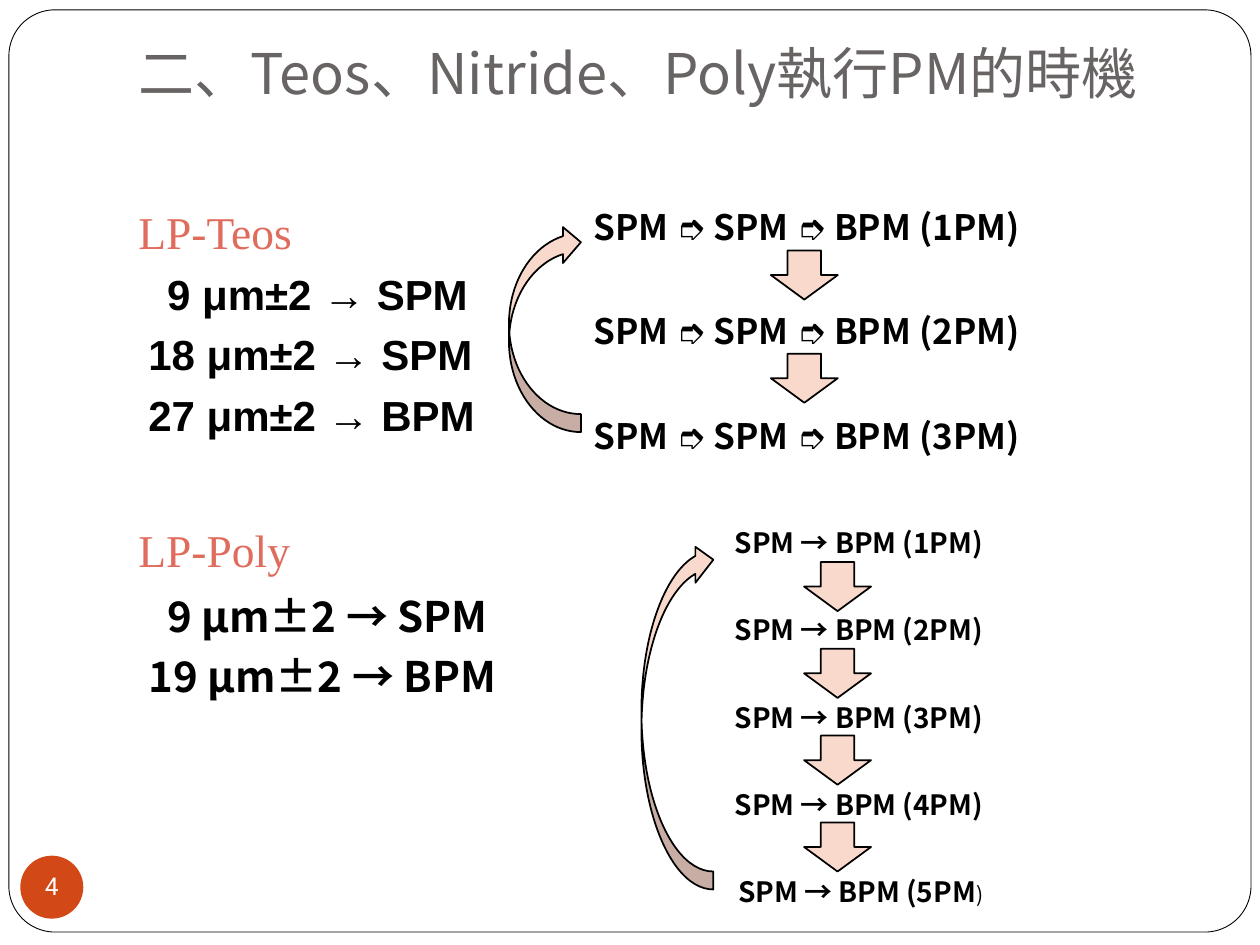
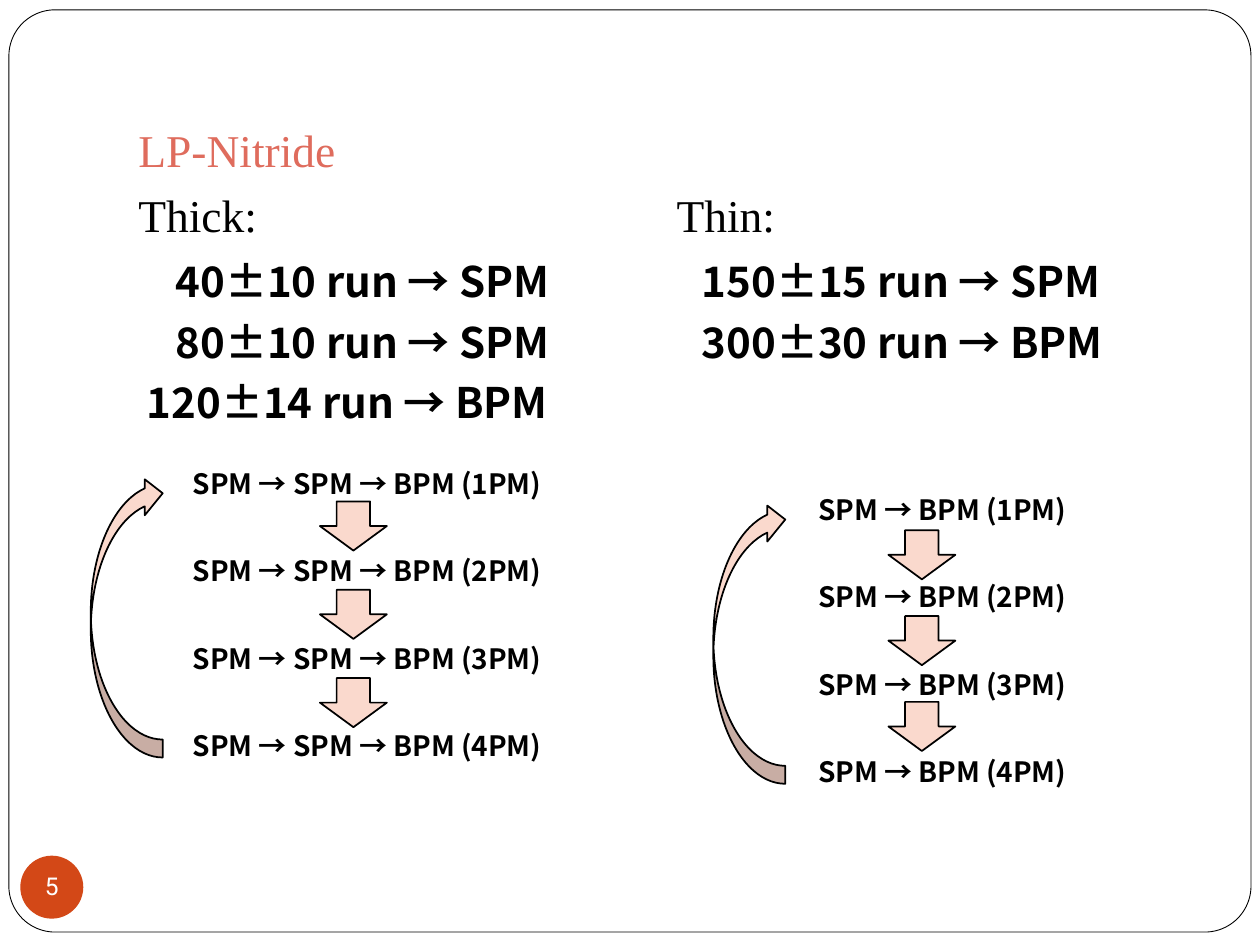
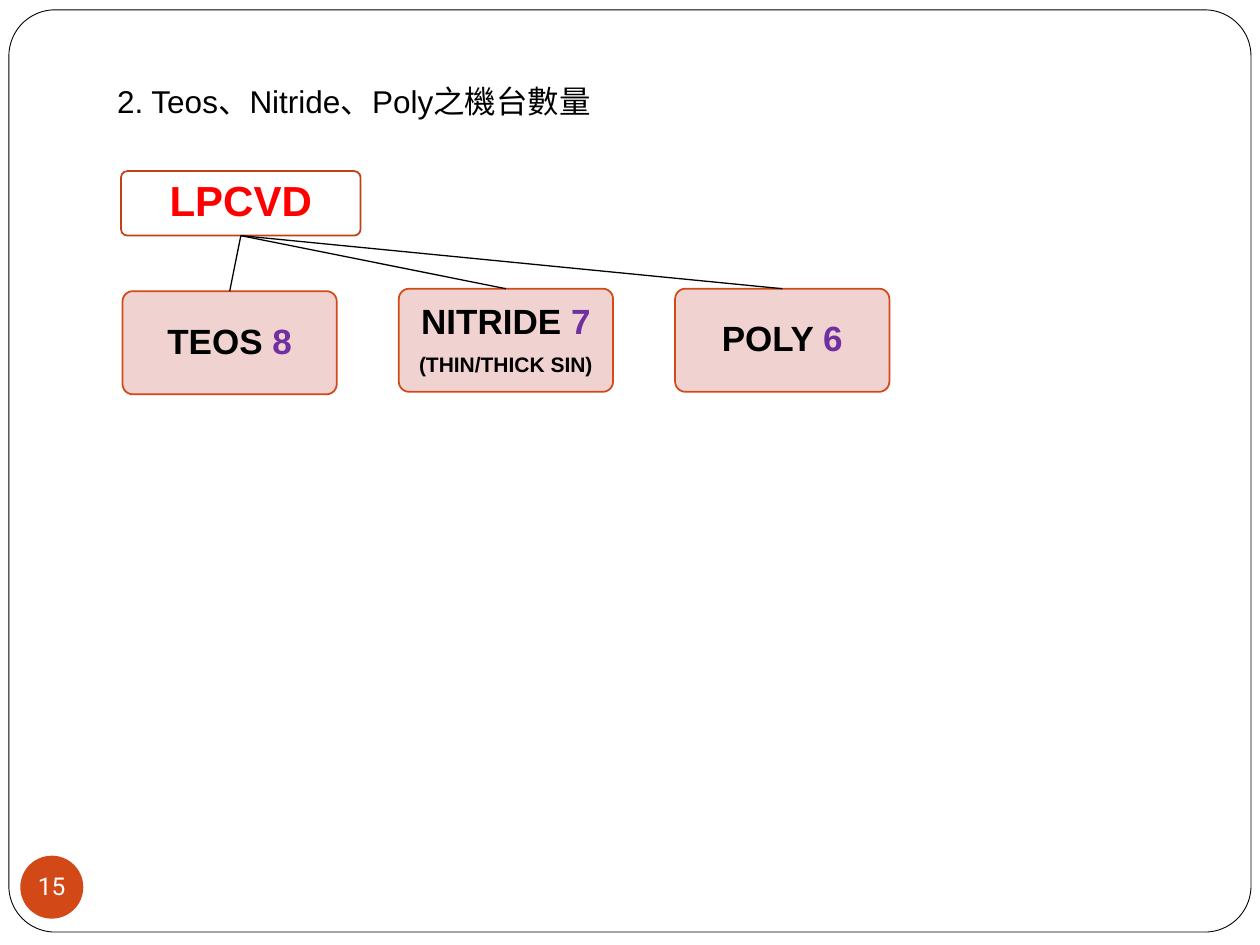
from dataclasses import dataclass, replace

from pptx import Presentation
from pptx.dml.color import RGBColor
from pptx.enum.shapes import MSO_CONNECTOR, MSO_SHAPE
from pptx.enum.text import MSO_ANCHOR, PP_ALIGN
from pptx.oxml.xmlchemy import OxmlElement
from pptx.util import Cm, Pt

# Shared colours
BLACK, WHITE, RED = "000000", "FFFFFF", "FF0000"
GREY, CORAL, ORANGE, PURPLE = "696464", "DF6C5D", "D34817", "7030A0"
RUST, PEACH, ROSE = "BF4115", "FAD9CD", "EFCFCC"
NOTO = "Noto Sans CJK SC"


@dataclass(frozen=True)
class Style:
    font: str
    size: float
    color: str = BLACK
    bold: bool = False


@dataclass(frozen=True)
class Span:
    text: str
    style: Style


@dataclass(frozen=True)
class Line:
    spans: tuple[Span, ...]
    spacing: float = 1.2  # exact height, as a multiple of the text size
    before: float = 5.8
    tabs: tuple[float, ...] = ()


@dataclass(frozen=True)
class Box:
    left: float
    top: float
    width: float
    height: float


@dataclass(frozen=True)
class Cycle:
    """Numbered maintenance rounds, down arrows between them, a loop back."""
    steps: str
    rounds: int
    box: Box
    style: Style
    gap: float
    align: PP_ALIGN
    arrow_left: float
    arrow_top: float
    arrow_step: float
    loop: Box
    last_bracket: float = 0


@dataclass(frozen=True)
class Machine:
    name: str
    count: str
    left: float
    top: float
    note: str = ""


# Text styles
TITLE = Style(NOTO, 32, GREY)
FILM = Style("Times New Roman", 26, CORAL)
KIND = replace(FILM, color=BLACK)
RULE = Style(NOTO, 24, bold=True)
RULE_ARIAL = replace(RULE, font="Arial")
ROUND_LARGE = Style(NOTO, 20, bold=True)
ROUND = replace(ROUND_LARGE, size=16)
PAGE = Style("Roboto", 14, WHITE)
SECTION = Style("Arial", 18)
ROOT = Style("Arial", 24, RED, True)
MACHINE = Style("Arial", 20, BLACK, True)
COUNT = replace(MACHINE, color=PURPLE)
NOTE = replace(MACHINE, size=12)


def rgb(color: str) -> RGBColor:
    return RGBColor.from_string(color)


def place(box: Box) -> tuple[Cm, Cm, Cm, Cm]:
    return Cm(box.left), Cm(box.top), Cm(box.width), Cm(box.height)


def write(paragraph, spans: tuple[Span, ...]) -> None:
    paragraph.text = spans[0].text
    for span in spans[1:]:
        paragraph.add_run().text = span.text
    for run, span in zip(paragraph.runs, spans):
        run.font.name = span.style.font
        run.font.size = Pt(span.style.size)
        run.font.bold = span.style.bold
        run.font.color.rgb = rgb(span.style.color)
        east_asian = OxmlElement("a:ea")
        east_asian.set("typeface", span.style.font)
        run._r.get_or_add_rPr().append(east_asian)


def set_tabs(paragraph, stops: tuple[float, ...]) -> None:
    tab_list = OxmlElement("a:tabLst")
    for stop in stops:
        tab = OxmlElement("a:tab")
        tab.set("pos", str(Cm(stop)))
        tab.set("algn", "l")
        tab_list.append(tab)
    paragraph._p.get_or_add_pPr().append(tab_list)


def add_text(slide, box: Box, lines: list[Line],
             align: PP_ALIGN = PP_ALIGN.LEFT) -> None:
    frame = slide.shapes.add_textbox(*place(box)).text_frame
    frame.word_wrap = True
    for index, line in enumerate(lines):
        paragraph = frame.add_paragraph() if index else frame.paragraphs[0]
        paragraph.alignment = align
        paragraph.line_spacing = Pt(line.spacing * line.spans[0].style.size)
        if index:
            paragraph.space_before = Pt(line.before)
        if line.tabs:
            set_tabs(paragraph, line.tabs)
        write(paragraph, line.spans)


def add_figure(slide, kind: MSO_SHAPE, box: Box, fill: str,
               outline: str = "", weight: float = 1):
    figure = slide.shapes.add_shape(kind, *place(box))
    figure.shadow.inherit = False
    figure.fill.solid()
    figure.fill.fore_color.rgb = rgb(fill)
    if outline:
        figure.line.color.rgb = rgb(outline)
        figure.line.width = Pt(weight)
    else:
        figure.line.fill.background()
    return figure


def label(figure, paragraphs: list[tuple[Span, ...]], inset: float = 0.1) -> None:
    frame = figure.text_frame
    frame.vertical_anchor = MSO_ANCHOR.MIDDLE
    frame.margin_left = frame.margin_right = Cm(inset)
    frame.margin_top = frame.margin_bottom = Cm(inset)
    for index, spans in enumerate(paragraphs):
        paragraph = frame.add_paragraph() if index else frame.paragraphs[0]
        paragraph.alignment = PP_ALIGN.CENTER
        paragraph.line_spacing = 0.9
        paragraph.space_after = Pt(0.35 * spans[0].style.size)
        write(paragraph, spans)


def add_base(deck, number: int):
    """A blank slide with the rounded frame and the page badge."""
    slide = deck.slides.add_slide(deck.slide_layouts[6])
    frame = add_figure(slide, MSO_SHAPE.ROUNDED_RECTANGLE,
                       Box(0.18, 0.2, 25.04, 18.59), WHITE, BLACK, 0.5)
    frame.adjustments[0] = 0.05
    badge = add_figure(slide, MSO_SHAPE.OVAL, Box(0.41, 17.25, 1.27, 1.27), ORANGE)
    label(badge, [(Span(str(number), PAGE),)], 0)
    badge.text_frame.word_wrap = False
    return slide


def add_cycle(slide, cycle: Cycle) -> None:
    lines = []
    for number in range(1, cycle.rounds + 1):
        text = f"{cycle.steps} ({number}PM"
        if cycle.last_bracket and number == cycle.rounds:
            bracket = replace(cycle.style, size=cycle.last_bracket, bold=False)
            spans = (Span(text, cycle.style), Span(")", bracket))
        else:
            spans = (Span(text + ")", cycle.style),)
        lines.append(Line(spans, 1.3, cycle.gap))
    add_text(slide, cycle.box, lines, cycle.align)

    for index in range(cycle.rounds - 1):
        top = cycle.arrow_top + index * cycle.arrow_step
        add_figure(slide, MSO_SHAPE.DOWN_ARROW,
                   Box(cycle.arrow_left, top, 1.35, 0.99), PEACH, BLACK)
    loop = add_figure(slide, MSO_SHAPE.CURVED_LEFT_ARROW, cycle.loop, PEACH, BLACK)
    loop.rotation = 180


def add_machine(slide, machine: Machine) -> Box:
    box = Box(machine.left, machine.top, 4.32, 2.08)
    card = add_figure(slide, MSO_SHAPE.ROUNDED_RECTANGLE, box, ROSE, ORANGE)
    card.adjustments[0] = 0.1
    alpha = OxmlElement("a:alpha")
    alpha.set("val", "90000")
    card.fill._xPr.solidFill.srgbClr.append(alpha)
    paragraphs = [(Span(machine.name + " ", MACHINE), Span(machine.count, COUNT))]
    if machine.note:
        paragraphs.append((Span(machine.note, NOTE),))
    label(card, paragraphs)
    return box


def add_branch(slide, parent: Box, child: Box) -> None:
    branch = slide.shapes.add_connector(
        MSO_CONNECTOR.STRAIGHT,
        Cm(parent.left + parent.width / 2), Cm(parent.top + parent.height),
        Cm(child.left + child.width / 2), Cm(child.top))
    branch.line.color.rgb = rgb(BLACK)
    branch.line.width = Pt(0.75)
    branch._element.spPr.append(OxmlElement("a:effectLst"))


def rule_lines(film: str, rules: list[str], style: Style,
               tabs: tuple[float, ...], first_gap: float) -> list[Line]:
    """A film heading followed by its thickness rules."""
    lines = [Line((Span(film, FILM),))]
    for index, rule in enumerate(rules):
        lines.append(Line((Span(rule, style),), tabs=tabs,
                          before=5.8 if index else first_gap))
    return lines


def build_teos_poly(deck) -> None:
    slide = add_base(deck, 4)
    add_text(slide, Box(2.54, 0.66, 21.4, 3.05),
             [Line((Span("二、Teos、Nitride、Poly執行PM的時機", TITLE),))])

    # Rules for each film
    stops = (0.2, 0.58)
    teos = ["\t\t9 μm±2 → SPM", "\t18 μm±2 → SPM", "\t27 μm±2 → BPM"]
    add_text(slide, Box(2.54, 3.98, 8.76, 5.59),
             rule_lines("LP-Teos", teos, RULE_ARIAL, stops, 5.8))
    poly = ["\t\t9 μm±2 → SPM", "\t19 μm±2 → BPM"]
    add_text(slide, Box(2.54, 10.39, 7.72, 6.32),
             rule_lines("LP-Poly", poly, RULE, stops, 8))

    # Order of the rounds
    add_cycle(slide, Cycle("SPM ➮ SPM ➮ BPM", 3, Box(11.71, 3.94, 11.71, 6.2),
                           ROUND_LARGE, 33.7, PP_ALIGN.LEFT, 15.54, 5.05, 2.08,
                           Box(10.26, 4.52, 1.45, 4.19)))
    add_cycle(slide, Cycle("SPM → BPM", 5, Box(13.26, 10.41, 6.81, 6.4),
                           ROUND, 29.1, PP_ALIGN.RIGHT, 16.21, 11.33, 1.75,
                           Box(12.93, 10.92, 1.45, 7.01), 12))


def build_nitride(deck) -> None:
    slide = add_base(deck, 5)

    # Thick and thin rules in two tabbed columns
    lines = [Line((Span("LP-Nitride", FILM),)),
             Line((Span("Thick:\tThin:", KIND),), tabs=(10.85,))]
    rules = ["\t\t40±10 run → SPM\t150±15 run → SPM",
             "\t\t80±10 run → SPM\t300±30 run → BPM",
             "\t120±14 run → BPM"]
    for index, rule in enumerate(rules):
        lines.append(Line((Span(rule, RULE),), tabs=(0.17, 0.75, 11.36),
                          before=5.8 if index else 8))
    add_text(slide, Box(2.54, 2.34, 21.77, 6.32), lines)

    # Order of the rounds
    add_cycle(slide, Cycle("SPM → BPM", 4, Box(14.94, 9.75, 6.81, 6.4),
                           ROUND, 29.1, PP_ALIGN.RIGHT, 17.91, 10.69, 1.73,
                           Box(14.38, 10.11, 1.45, 5.69)))
    add_cycle(slide, Cycle("SPM → SPM → BPM", 4, Box(2.18, 9.22, 8.99, 6.4),
                           ROUND, 29.1, PP_ALIGN.RIGHT, 6.45, 10.11, 1.78,
                           Box(1.83, 9.58, 1.45, 5.69)))


def build_machines(deck) -> None:
    slide = add_base(deck, 15)
    add_text(slide, Box(2.11, 1.52, 21.82, 1.27),
             [Line((Span("2. Teos、Nitride、Poly之機台數量", SECTION),))])

    # Machine tree
    root = Box(2.44, 3.45, 4.83, 1.3)
    lpcvd = add_figure(slide, MSO_SHAPE.ROUNDED_RECTANGLE, root, WHITE, RUST)
    lpcvd.adjustments[0] = 0.1
    label(lpcvd, [(Span("LPCVD", ROOT),)])
    machines = [Machine("POLY", "6", 13.61, 5.82),
                Machine("NITRIDE", "7", 8.04, 5.82, "(THIN/THICK SIN)"),
                Machine("TEOS", "8", 2.47, 5.87)]
    cards = [add_machine(slide, machine) for machine in machines]
    for card in cards:
        add_branch(slide, root, card)


def main() -> None:
    deck = Presentation()
    deck.slide_width, deck.slide_height = Cm(25.4), Cm(19.05)
    build_teos_poly(deck)
    build_nitride(deck)
    build_machines(deck)
    deck.save("out.pptx")


if __name__ == "__main__":
    main()
